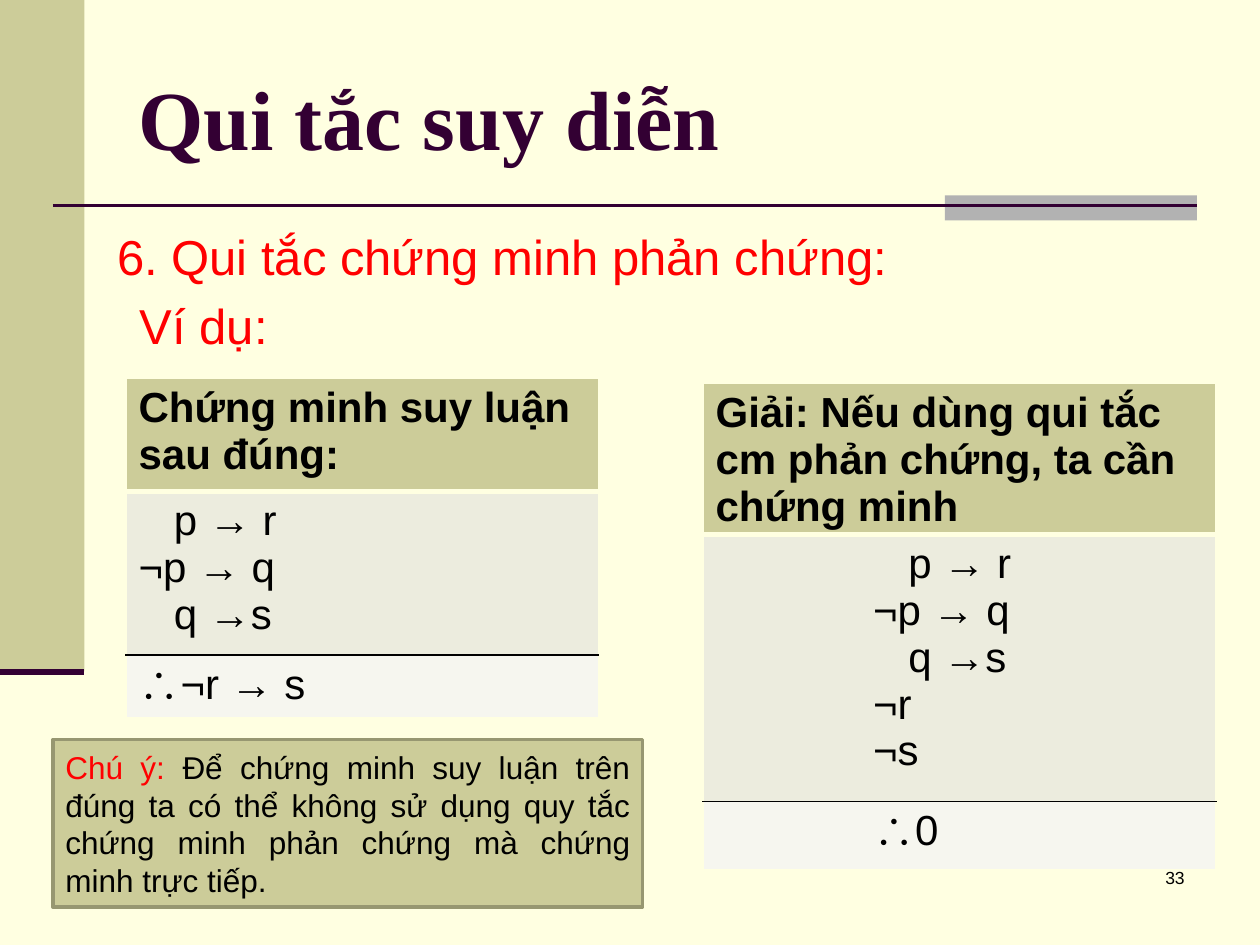
import pptx
import pptx.dml.color
import pptx.enum.shapes
import pptx.enum.text
import pptx.oxml
import pptx.oxml.ns
import pptx.util
from lxml import etree

Inches = pptx.util.Inches
Pt = pptx.util.Pt
Align = pptx.enum.text.PP_ALIGN
Anchor = pptx.enum.text.MSO_ANCHOR
qn = pptx.oxml.ns.qn

CREAM, KHAKI, PLUM = "FFFFE1", "CCCC99", "330033"
RED, BLACK = "FF0000", "000000"


def color(hex_string):
    return pptx.dml.color.RGBColor.from_string(hex_string)


def write(paragraph, text, size=24, font="Arial", fill=BLACK, bold=False,
          align=None, indent=0, first=0, before=0):
    """Add a run to the paragraph and set the paragraph's layout."""
    run = paragraph.add_run()
    run.text = text
    run.font.size = Pt(size)
    run.font.name = font
    run.font.bold = bold
    run.font.color.rgb = color(fill)
    paragraph.alignment = align
    paragraph.space_before = Pt(before)
    properties = paragraph._p.get_or_add_pPr()
    properties.set("marL", str(Inches(indent)))
    properties.set("indent", str(Inches(first)))
    if properties.find(qn("a:buNone")) is None:
        etree.SubElement(properties, qn("a:buNone"))


def paragraphs(frame, count):
    """Return the frame's paragraphs after extending them to count."""
    while len(frame.paragraphs) < count:
        frame.add_paragraph()
    return frame.paragraphs


def set_border(cell, side, hex_string, width):
    line = etree.SubElement(cell._tc.get_or_add_tcPr(), qn(f"a:ln{side}"), w=str(Pt(width)))
    fill = etree.SubElement(line, qn("a:solidFill"))
    etree.SubElement(fill, qn("a:srgbClr"), val=hex_string)


class SlideBuilder:
    def __init__(self, presentation):
        self.slide = presentation.slides.add_slide(presentation.slide_layouts[1])
        self.slide.background.fill.solid()
        self.slide.background.fill.fore_color.rgb = color(CREAM)

    def rectangle(self, left, top, width, height, fill, outline=None):
        shape = self.slide.shapes.add_shape(
            pptx.enum.shapes.MSO_SHAPE.RECTANGLE,
            Inches(left), Inches(top), Inches(width), Inches(height))
        shape.shadow.inherit = False
        shape.fill.solid()
        shape.fill.fore_color.rgb = color(fill)
        if outline:
            shape.line.color.rgb = color(outline)
            shape.line.width = Pt(2)
        else:
            shape.line.fill.background()
        return shape

    def rule(self, left, right, y, width):
        connector = self.slide.shapes.add_connector(
            pptx.enum.shapes.MSO_CONNECTOR.STRAIGHT,
            Inches(left), Inches(y), Inches(right), Inches(y))
        connector.line.color.rgb = color(PLUM)
        connector.line.width = Pt(width)
        etree.SubElement(connector._element.spPr, qn("a:effectLst"))

    def placeholder(self, index, left, top, width, height, anchor):
        shape = self.slide.placeholders[index]
        shape.left, shape.top = Inches(left), Inches(top)
        shape.width, shape.height = Inches(width), Inches(height)
        shape.text_frame.vertical_anchor = anchor
        shape.text_frame.auto_size = pptx.enum.text.MSO_AUTO_SIZE.NONE
        return shape.text_frame

    def text_box(self, left, top, width, height):
        frame = self.slide.shapes.add_textbox(
            Inches(left), Inches(top), Inches(width), Inches(height)).text_frame
        frame.word_wrap = True
        return frame

    def argument_table(self, left, top, width, heights, heading, premises, conclusion, indent=0):
        """Stack heading, premises and conclusion; premises are (text, extra indent)."""
        table = self.slide.shapes.add_table(
            3, 1, Inches(left), Inches(top), Inches(width), Inches(sum(heights))).table
        table.horz_banding = False
        contents = [[(heading, 0)],
                    [(text, indent + extra) for text, extra in premises],
                    [(conclusion, indent)]]
        fills = [KHAKI, "ECECDE", "F6F6EF"]
        edges = [(CREAM, 1), (CREAM, 3), (BLACK, 1), (CREAM, 1)]
        for row, lines in enumerate(contents):
            table.rows[row].height = Inches(heights[row])
            cell = table.cell(row, 0)
            # Without a bottom margin the text never forces a row to grow.
            cell.margin_bottom = 0
            for side, edge in zip("LRTB", [edges[0], edges[0], edges[row], edges[row + 1]]):
                set_border(cell, side, *edge)
            cell.fill.solid()
            cell.fill.fore_color.rgb = color(fills[row])
            for paragraph, (text, margin) in zip(paragraphs(cell.text_frame, len(lines)), lines):
                write(paragraph, text, bold=row == 0, indent=margin)


def main():
    presentation = pptx.Presentation()
    presentation.slide_width, presentation.slide_height = Inches(10), Inches(7.5)
    builder = SlideBuilder(presentation)

    builder.rectangle(0, 0, 0.67, 5.33, KHAKI)
    builder.rectangle(7.5, 1.55, 2, 0.2, "B2B2B2")
    builder.rule(0.42, 9.5, 1.63, 1.5)
    builder.rule(0, 0.67, 5.33, 3.5)

    title = builder.placeholder(0, 1, 0.3, 8.5, 1.25, Anchor.MIDDLE)
    write(title.paragraphs[0], "Qui tắc suy diễn", size=48, font="Times New Roman",
          fill=PLUM, bold=True, align=Align.LEFT)

    body = builder.placeholder(1, 0.83, 1.75, 8.92, 4.95, Anchor.TOP)
    body_lines = [("6. Qui tắc chứng minh phản chứng:", 0), ("Ví dụ:", 0.18)]
    for paragraph, (text, first) in zip(paragraphs(body, 2), body_lines):
        write(paragraph, text, size=28, fill=RED, align=Align.JUSTIFY, first=first, before=5.6)

    premises = [("p → r", 0.28), ("¬p → q", 0), ("q →s", 0.28)]
    builder.argument_table(1, 3, 3.75, [0.9, 1.3, 0.5],
                           "Chứng minh suy luận sau đúng:", premises, "∴¬r → s")
    builder.argument_table(5.58, 3.04, 4.07, [1.2, 2.12, 0.54],
                           "Giải: Nếu dùng qui tắc cm phản chứng, ta cần chứng minh",
                           premises + [("¬r", 0), ("¬s", 0)], "∴0", indent=1.25)

    number = builder.text_box(7.42, 6.83, 2.08, 0.5)
    write(number.paragraphs[0], "33", size=10, align=Align.RIGHT)

    note = builder.rectangle(0.42, 5.87, 4.68, 1.33, KHAKI, outline="979771").text_frame
    note.word_wrap = True
    note.vertical_anchor = Anchor.MIDDLE
    for text, fill in [("Chú ý: ", RED),
                       ("Để chứng minh suy luận trên đúng ta có thể không sử dụng quy tắc "
                        "chứng minh phản chứng mà chứng minh trực tiếp.", BLACK)]:
        write(note.paragraphs[0], text, size=18, fill=fill, align=Align.JUSTIFY)

    presentation.save("out.pptx")


if __name__ == "__main__":
    main()
